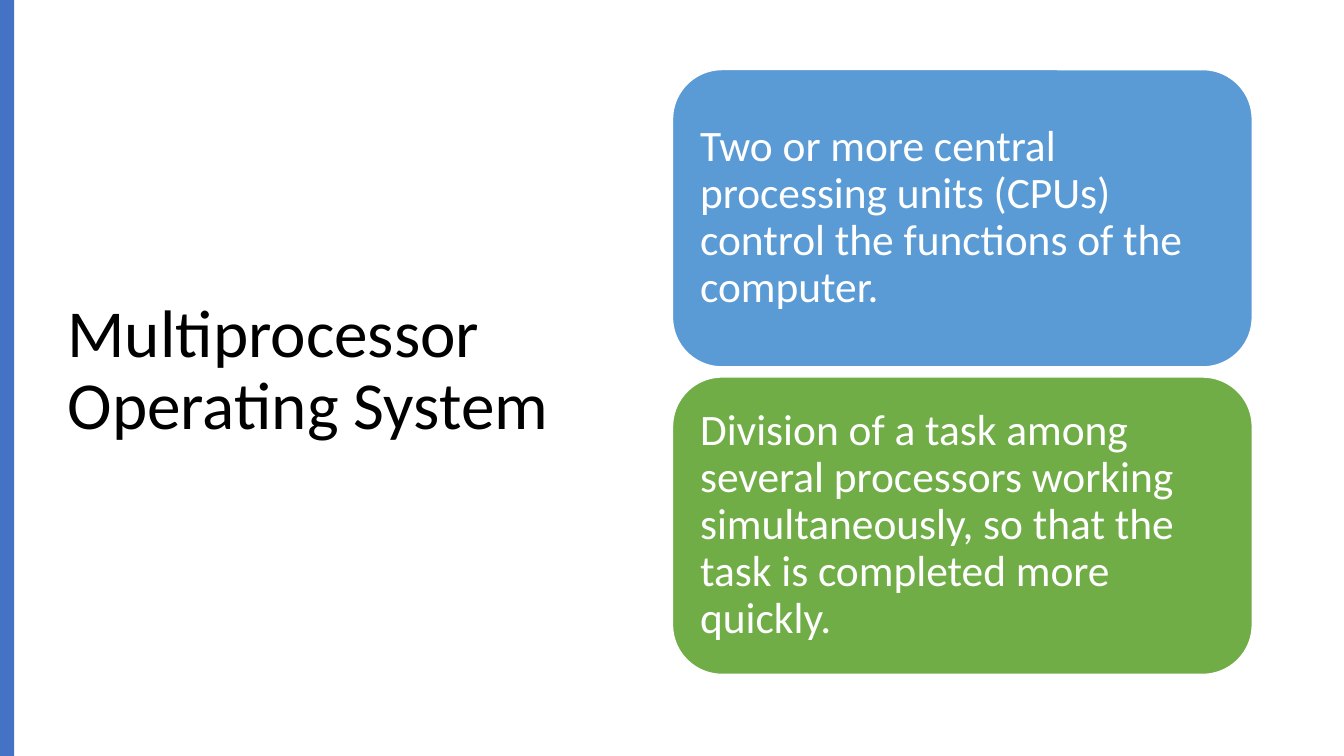
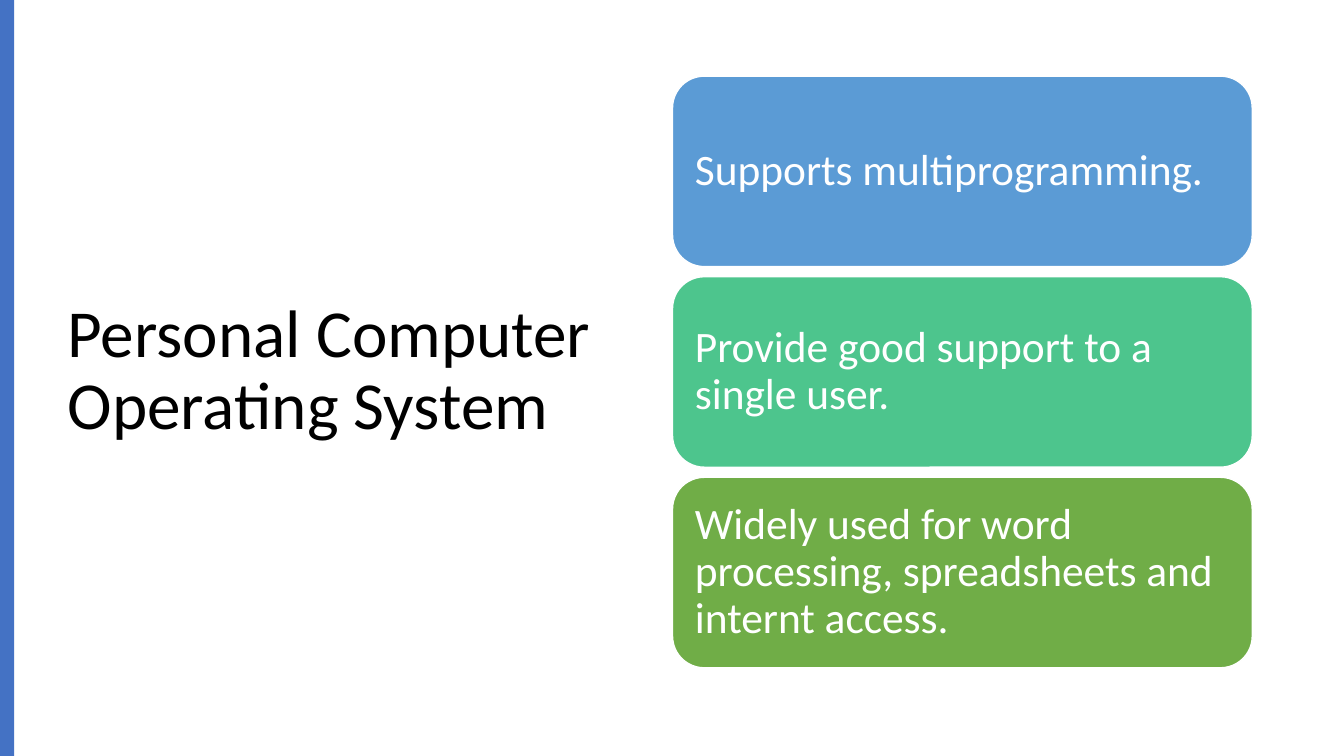
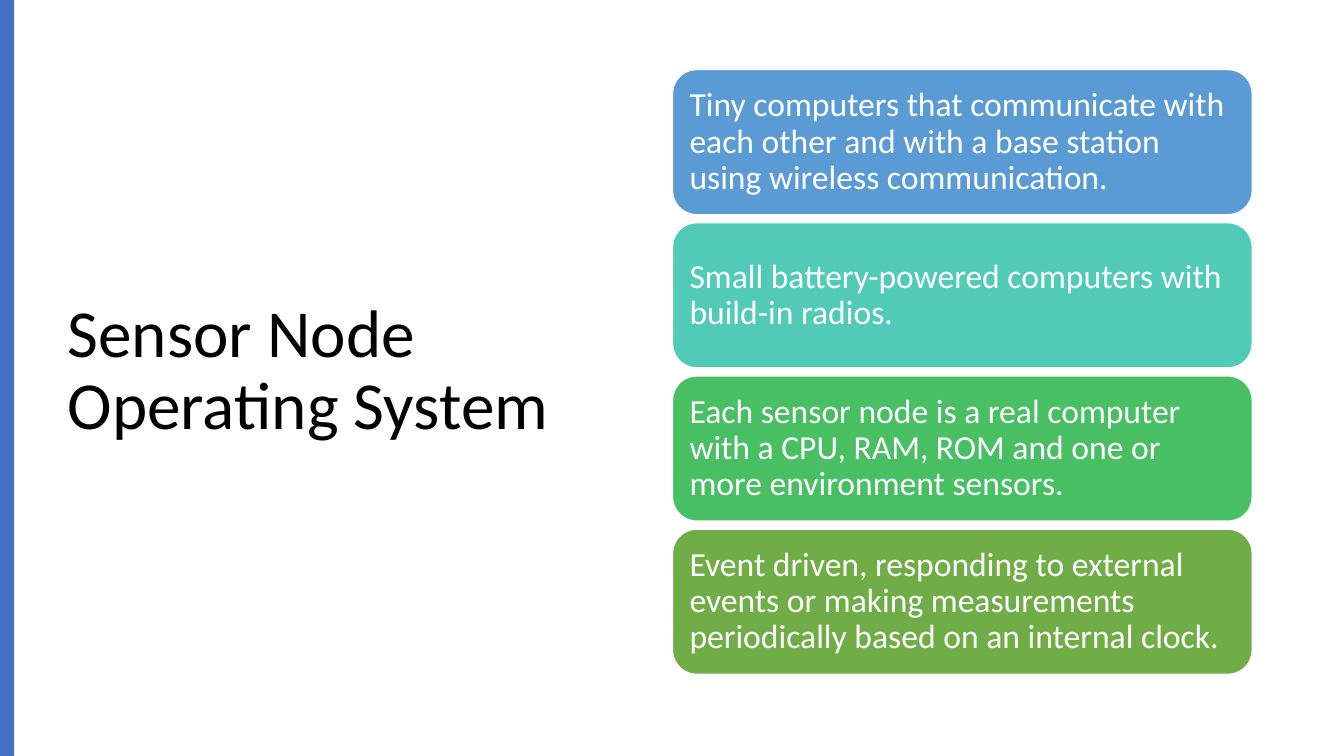
import dataclasses

import pptx
import pptx.dml.color
import pptx.enum.shapes
import pptx.enum.text
import pptx.util

Inches = pptx.util.Inches
Shape = pptx.enum.shapes.MSO_SHAPE
Align = pptx.enum.text.PP_ALIGN


@dataclasses.dataclass(frozen=True)
class Theme:
    font: str = "Calibri"
    ink: str = "000000"
    paper: str = "FFFFFF"
    band: str = "4472C4"
    blue: str = "5B9BD5"
    teal: str = "52CAB8"
    mint: str = "4DC58D"
    green: str = "49BF64"
    olive: str = "70AD47"
    title: int = 48
    large: int = 31
    small: int = 24


class Deck:
    def __init__(self, theme):
        self.theme = theme
        self.file = pptx.Presentation()
        self.file.slide_width = Inches(13.33)
        self.file.slide_height = Inches(7.5)
        self.slide = None

    def color(self, code):
        return pptx.dml.color.RGBColor.from_string(code)

    def label(self, shape, text, size, color):
        """Put one left-aligned, vertically centred paragraph in a shape."""
        frame = shape.text_frame
        frame.text = text
        frame.word_wrap = True
        frame.auto_size = pptx.enum.text.MSO_AUTO_SIZE.NONE
        frame.vertical_anchor = pptx.enum.text.MSO_ANCHOR.MIDDLE
        para = frame.paragraphs[0]
        para.alignment = Align.LEFT
        para.line_spacing = 0.9
        font = para.runs[0].font
        font.name = self.theme.font
        font.size = pptx.util.Pt(size)
        font.color.rgb = self.color(color)

    def block(self, kind, left, top, width, height, fill):
        shape = self.slide.shapes.add_shape(
            kind, Inches(left), Inches(top), Inches(width), Inches(height))
        shape.shadow.inherit = False
        shape.fill.solid()
        shape.fill.fore_color.rgb = self.color(fill)
        shape.line.fill.background()
        return shape

    def page(self, title):
        """Start a slide with its title and side band."""
        self.slide = self.file.slides.add_slide(self.file.slide_layouts[5])
        head = self.slide.shapes.title
        head.left, head.top = Inches(0.57), Inches(0.68)
        head.width, head.height = Inches(5.67), Inches(6.02)
        self.label(head, title, self.theme.title, self.theme.ink)
        self.block(Shape.RECTANGLE, 0, 0, 0.14, 7.5, self.theme.band)

    def card(self, text, fill, top, height, size, inset):
        card = self.block(
            Shape.ROUNDED_RECTANGLE, 6.67, top, 5.75, height, fill)
        card.line.color.rgb = self.color(self.theme.paper)
        card.line.width = pptx.util.Pt(1)
        frame = card.text_frame
        frame.margin_left = frame.margin_right = Inches(inset)
        frame.margin_top = frame.margin_bottom = Inches(inset)
        self.label(card, text, size, self.theme.paper)

    def stack(self, cards, height, size, gap=0.1, inset=0.13):
        """Centre a column of equal cards on the title's middle line."""
        step = height + gap
        top = 3.69 - (len(cards) * step - gap) / 2
        for row, (text, fill) in enumerate(cards):
            self.card(text, fill, top + row * step, height, size, inset)


def main():
    theme = Theme()
    deck = Deck(theme)

    deck.page("Multiprocessor Operating System")
    deck.stack([
        ("Two or more central processing units (CPUs) control the functions "
         "of the computer.", theme.blue),
        ("Division of a task among several processors working "
         "simultaneously, so that the task is completed more quickly.",
         theme.olive),
    ], 2.95, theme.large)

    deck.page("Personal Computer Operating System")
    deck.stack([
        ("Supports multiprogramming.", theme.blue),
        ("Provide good support to a single user.", theme.mint),
        ("Widely used for word processing, spreadsheets and internt access.",
         theme.olive),
    ], 1.89, theme.large)

    deck.page("Sensor Node Operating System")
    deck.stack([
        ("Tiny computers that communicate with each other and with a base "
         "station using wireless communication.", theme.blue),
        ("Small battery-powered computers with build-in radios.", theme.teal),
        ("Each sensor node is a real computer with a CPU, RAM, ROM and one "
         "or more environment sensors.", theme.green),
        ("Event driven, responding to external events or making "
         "measurements periodically based on an internal clock.",
         theme.olive),
    ], 1.44, theme.small, gap=0.08, inset=0.1)

    deck.file.save("out.pptx")


if __name__ == "__main__":
    main()
